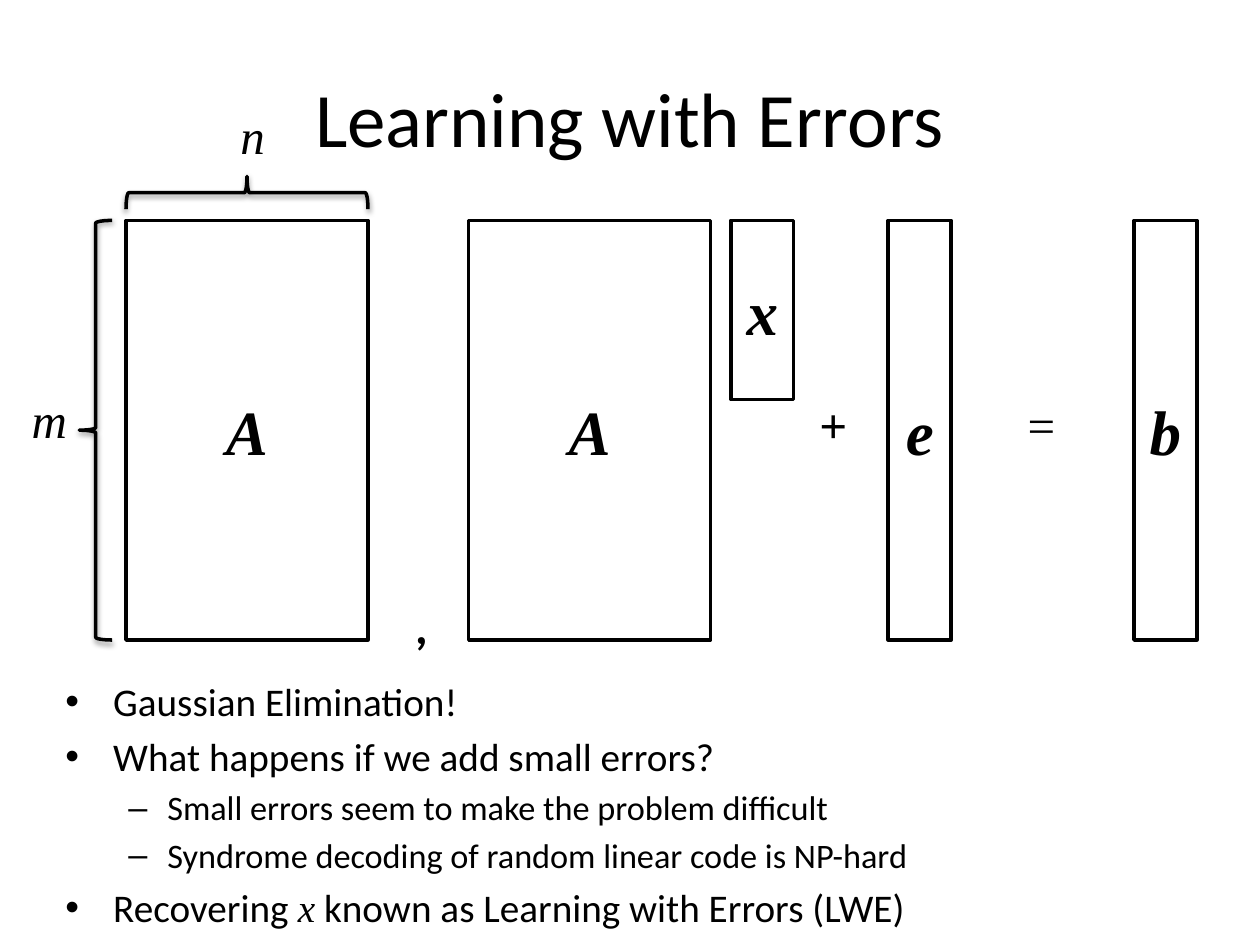
import lxml.etree
import pptx
import pptx.dml.color
import pptx.enum.shapes
import pptx.enum.text
import pptx.oxml
import pptx.oxml.ns
import pptx.util

SCALE = 9144  # EMU per px, 100 px to the inch
BLACK = "000000"
SANS, SERIF = "Calibri", "Times New Roman"
SHAPES = pptx.enum.shapes.MSO_SHAPE
ALIGN = pptx.enum.text.PP_ALIGN
ANCHOR = pptx.enum.text.MSO_ANCHOR

TITLE = "Learning with Errors"
TOP, TALL, SHORT = 175, 333, 142
WIDE, NARROW = 192, 50
# name, left, width, height
MATRICES = [
    ("A", 100, WIDE, TALL),
    ("A", 372, WIDE, TALL),
    ("x", 580, NARROW, SHORT),
    ("e", 705, NARROW, TALL),
    ("b", 900, NARROW, TALL),
]
# text, box, font, bold, italic
LABELS = [
    (",", (319, 468, 31, 57), SANS, True, False),
    ("+", (640, 308, 43, 57), SERIF, True, False),
    ("=", (805, 308, 43, 57), SERIF, False, False),
    ("m", (8, 304, 62, 57), SERIF, False, True),
    ("n", (174, 79, 53, 57), SERIF, False, True),
]
# box before rotation, rotation
BRACES = [((63, TOP, 26, TALL), 0), ((183, 57, 26, WIDE), 90)]
# level, runs as (text, is a variable)
BULLETS = [
    (0, [("Gaussian Elimination!", False)]),
    (0, [("What happens if we add small errors?", False)]),
    (1, [("Small errors seem to make the problem difficult", False)]),
    (1, [("Syndrome decoding of random linear code is NP-hard", False)]),
    (0, [("Recovering ", False), ("x", True),
         (" known as Learning with Errors (LWE)", False)]),
]
# bullet, size, space before, left margin, hanging indent
LEVELS = [("•", 22.4, 4.5, 38, 38), ("–", 19.6, 3.9, 81, 31)]


def px(length):
    return pptx.util.Emu(length * SCALE)


def color(value):
    return pptx.dml.color.RGBColor.from_string(value)


def format_run(run, size, font=SANS, bold=False, italic=False):
    run.font.size = pptx.util.Pt(size)
    run.font.name = font
    run.font.bold = bold
    run.font.italic = italic
    run.font.color.rgb = color(BLACK)


def set_centred_text(shape, text, size, font=SANS, bold=False, italic=False):
    shape.text_frame.text = text
    paragraph = shape.text_frame.paragraphs[0]
    paragraph.alignment = ALIGN.CENTER
    format_run(paragraph.runs[0], size, font, bold, italic)


def add_text_box(slide, box, wrap=True):
    shape = slide.shapes.add_textbox(*map(px, box))
    shape.text_frame.word_wrap = wrap
    return shape


def add_outline(slide, kind, box):
    """Add an unfilled shape with a black line and no shadow."""
    shape = slide.shapes.add_shape(kind, *map(px, box))
    shape.shadow.inherit = False
    shape.fill.background()
    shape.line.color.rgb = color(BLACK)
    shape.line.width = pptx.util.Pt(2)
    return shape


def add_shadow(shape):
    effects = shape._element.spPr.find(pptx.oxml.ns.qn("a:effectLst"))
    effects.append(pptx.oxml.parse_xml(
        f'<a:outerShdw {pptx.oxml.ns.nsdecls("a")} blurRad="40000" dist="20000" '
        f'dir="5400000" rotWithShape="0"><a:srgbClr val="{BLACK}">'
        '<a:alpha val="38000"/></a:srgbClr></a:outerShdw>'))


def format_bullet(paragraph, level):
    bullet, _, space, margin, hanging = LEVELS[level]
    paragraph.level = level
    paragraph.space_before = pptx.util.Pt(space)
    properties = paragraph._p.get_or_add_pPr()
    properties.set("marL", str(px(margin)))
    properties.set("indent", str(px(-hanging)))
    for tag, name, value in (("a:buFont", "typeface", "Arial"),
                             ("a:buChar", "char", bullet)):
        child = lxml.etree.SubElement(properties, pptx.oxml.ns.qn(tag))
        child.set(name, value)


def add_bullets(slide):
    frame = add_text_box(slide, (42, 533, 892, 184)).text_frame
    for index, (level, runs) in enumerate(BULLETS):
        paragraph = frame.add_paragraph() if index else frame.paragraphs[0]
        format_bullet(paragraph, level)
        for text, is_variable in runs:
            run = paragraph.add_run()
            run.text = text
            format_run(run, LEVELS[level][1], SERIF if is_variable else SANS,
                       italic=is_variable)


def main():
    presentation = pptx.Presentation()
    presentation.slide_width, presentation.slide_height = px(1000), px(750)
    slide = presentation.slides.add_slide(presentation.slide_layouts[6])

    title = add_text_box(slide, (50, 30, 900, 125))
    title.text_frame.vertical_anchor = ANCHOR.MIDDLE
    set_centred_text(title, TITLE, 44)

    for name, left, width, height in MATRICES:
        matrix = add_outline(slide, SHAPES.RECTANGLE, (left, TOP, width, height))
        matrix.text_frame.vertical_anchor = ANCHOR.MIDDLE
        set_centred_text(matrix, name, 36, SERIF, bold=True, italic=True)

    add_bullets(slide)

    for box, rotation in BRACES:
        brace = add_outline(slide, SHAPES.LEFT_BRACE, box)
        brace.rotation = rotation
        add_shadow(brace)

    for text, box, font, bold, italic in LABELS:
        label = add_text_box(slide, box, wrap=False)
        set_centred_text(label, text, 28, font, bold, italic)

    presentation.save("out.pptx")


if __name__ == "__main__":
    main()
